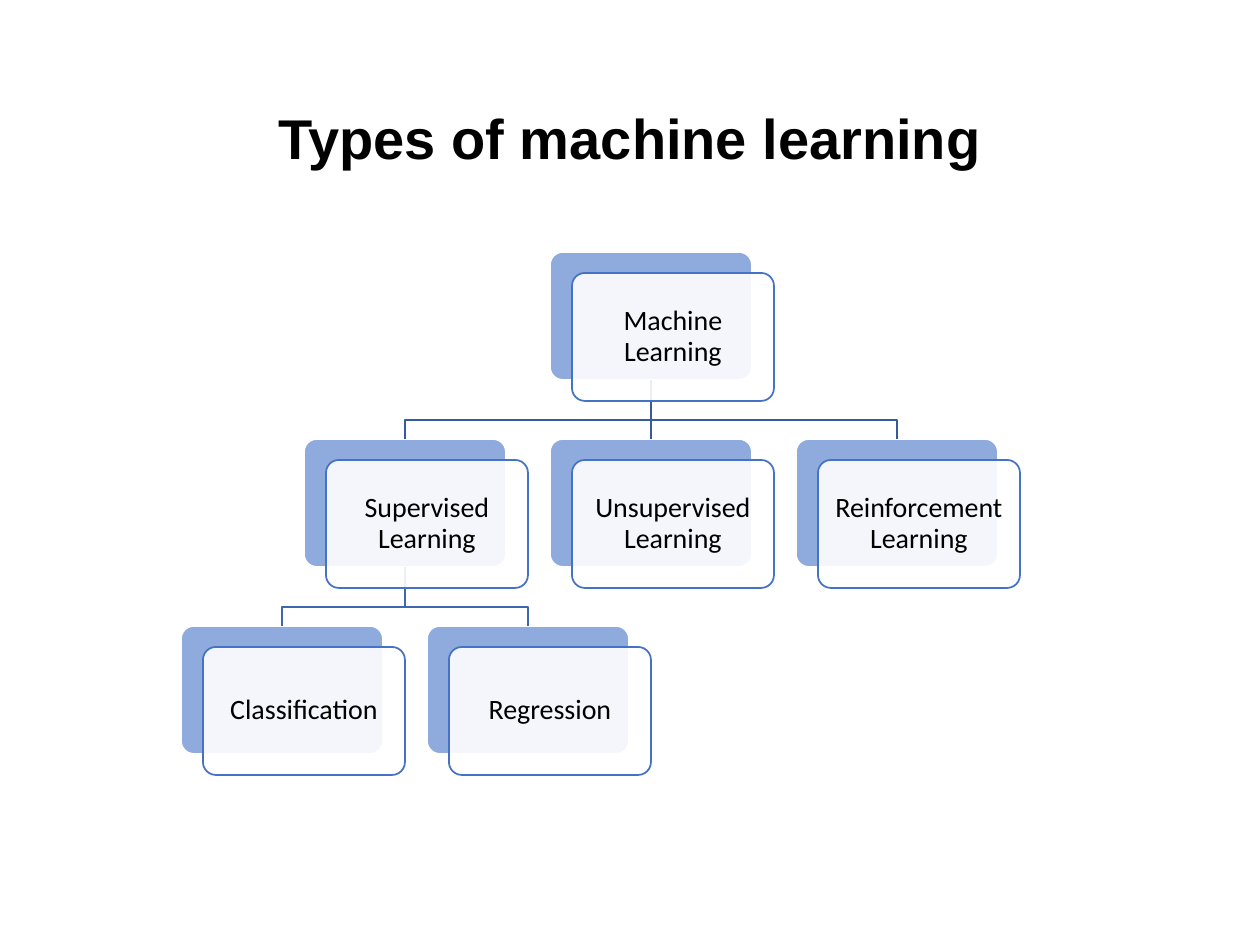
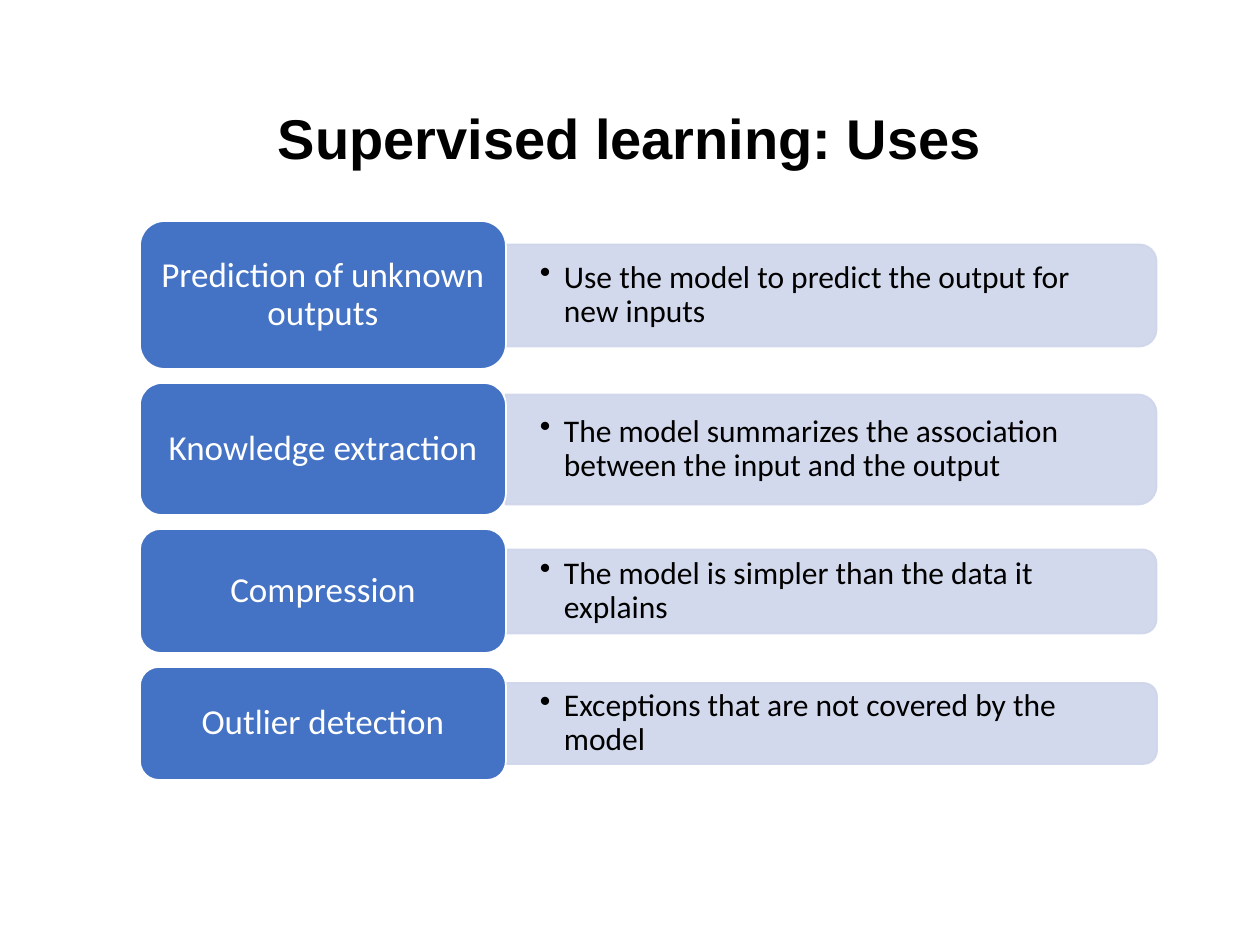
from dataclasses import dataclass

from lxml import etree
from pptx import Presentation
from pptx.dml.color import RGBColor
from pptx.enum.shapes import MSO_CONNECTOR, MSO_SHAPE
from pptx.enum.text import MSO_ANCHOR, PP_ALIGN
from pptx.oxml.ns import qn
from pptx.shapes.autoshape import Shape
from pptx.slide import Slide
from pptx.text.text import TextFrame
from pptx.util import Emu, Pt

ROUND = MSO_SHAPE.ROUNDED_RECTANGLE
TAB = MSO_SHAPE.ROUND_2_SAME_RECTANGLE
STRAIGHT = MSO_CONNECTOR.STRAIGHT
MIDDLE = MSO_ANCHOR.MIDDLE
LEFT, CENTER = PP_ALIGN.LEFT, PP_ALIGN.CENTER
TOP, BOTTOM = 0, 2
SCALE = 914400 / 126  # EMU per px


@dataclass(frozen=True)
class Type:
    font: str
    size: int
    color: str
    bold: bool = False


@dataclass(frozen=True)
class Look:
    fill: str
    line: str
    fade: str = ""  # XPath of the colours drawn at 90% opacity


@dataclass(frozen=True)
class Theme:
    title: Type = Type("Arial", 32, "000000", True)
    node: Type = Type("Calibri", 16, "000000")
    label: Type = Type("Calibri", 20, "FFFFFF")
    point: Type = Type("Calibri", 18, "000000")
    back: Look = Look("8FAADC", "FFFFFF")
    card: Look = Look("FFFFFF", "4472C4", "a:solidFill/a:srgbClr")
    block: Look = Look("4472C4", "FFFFFF")
    bar: Look = Look("CFD5EA", "CFD5EA", ".//a:srgbClr")
    links: tuple[str, ...] = ("365B9D", "3E67B2")
    width: int = 1


@dataclass(frozen=True)
class Box:
    x: int
    y: int
    w: int
    h: int

    def emu(self) -> tuple[Emu, ...]:
        return tuple(px(n) for n in (self.x, self.y, self.w, self.h))

    @property
    def mid(self) -> int:
        return self.x + self.w // 2


@dataclass(frozen=True)
class Node:
    text: str
    col: int
    row: int
    root: str = ""

    @property
    def box(self) -> Box:
        return Box(181 + 123 * self.col, 252 + 187 * self.row, 202, 128)


@dataclass(frozen=True)
class Use:
    label: str
    point: str
    high: int
    bar: int


THEME = Theme()
TITLE = Box(87, 50, 1086, 183)
SHIFT = 22, 21
TRUNK = 40
NODES = [
    Node("Machine Learning", 3, 0),
    Node("Supervised Learning", 1, 1, "Machine Learning"),
    Node("Classification", 0, 2, "Supervised Learning"),
    Node("Regression", 2, 2, "Supervised Learning"),
    Node("Unsupervised Learning", 3, 1, "Machine Learning"),
    Node("Reinforcement Learning", 5, 1, "Machine Learning"),
]
USES = [
    Use("Prediction of unknown outputs",
        "Use the model to predict the output for new inputs", 148, 102),
    Use("Knowledge extraction",
        "The model summarizes the association between the input and the output",
        132, 110),
    Use("Compression", "The model is simpler than the data it explains", 124, 84),
    Use("Outlier detection", "Exceptions that are not covered by the model", 113, 81),
]


def px(n: float) -> Emu:
    return Emu(round(n * SCALE))


def rgb(code: str) -> RGBColor:
    return RGBColor.from_string(code)


def write(frame: TextFrame, text: str, kind: Type, pad: tuple[int, int],
          align: PP_ALIGN = CENTER, bullet: bool = False) -> None:
    """Fill a frame with one paragraph; pad is the side and top inset."""
    frame.word_wrap = True
    frame.vertical_anchor = MIDDLE
    frame.margin_left = frame.margin_right = px(pad[0])
    frame.margin_top = frame.margin_bottom = px(pad[1])
    para = frame.paragraphs[0]
    para.text = text
    para.alignment = align
    para.line_spacing = 0.9
    if bullet:
        props = para._p.get_or_add_pPr()
        props.set("marL", str(px(24)))
        props.set("indent", str(px(-24)))
        etree.SubElement(props, qn("a:buChar")).set("char", "•")
    font = para.font
    font.name, font.size, font.bold = kind.font, Pt(kind.size), kind.bold
    font.color.rgb = rgb(kind.color)


def draw(slide: Slide, form: MSO_SHAPE, box: Box, look: Look) -> Shape:
    shape = slide.shapes.add_shape(form, *box.emu())
    shape.shadow.inherit = False
    shape.fill.solid()
    shape.fill.fore_color.rgb = rgb(look.fill)
    shape.line.color.rgb = rgb(look.line)
    shape.line.width = Pt(THEME.width)
    if look.fade:
        for color in shape.element.spPr.xpath(look.fade):
            etree.SubElement(color, qn("a:alpha")).set("val", "90000")
    return shape


def start(deck: Presentation, text: str) -> Slide:
    slide = deck.slides.add_slide(deck.slide_layouts[5])
    title = slide.shapes.title
    title.left, title.top, title.width, title.height = TITLE.emu()
    write(title.text_frame, text, THEME.title, (12, 6))
    return slide


def link(slide: Slide, root: Node, node: Node, backs: dict[str, Shape]) -> None:
    """Join a node to its root, straight down or round a corner."""
    above, below = root.box, node.box
    foot = above.y + above.h
    if above.mid == below.mid:
        line = slide.shapes.add_connector(STRAIGHT, 0, 0, 0, 0)
        line.begin_connect(backs[root.text], BOTTOM)
        line.end_connect(backs[node.text], TOP)
    else:
        turn = foot + TRUNK
        path = slide.shapes.build_freeform(px(above.mid), px(foot))
        ends = (above.mid, turn), (below.mid, turn), (below.mid, below.y)
        path.add_line_segments([(px(x), px(y)) for x, y in ends], close=False)
        line = path.convert_to_shape()
        line.fill.background()
    line.line.color.rgb = rgb(THEME.links[root.row])
    line.line.width = Pt(THEME.width)
    etree.SubElement(line.element.spPr, qn("a:effectLst"))


def tree(deck: Presentation) -> None:
    slide = start(deck, "Types of machine learning")
    names = {node.text: node for node in NODES}
    backs = {}
    for node in NODES:
        backs[node.text] = draw(slide, ROUND, node.box, THEME.back)
        backs[node.text].adjustments[0] = 0.1
    for node in NODES:
        if node.root:
            link(slide, names[node.root], node, backs)
    for node in NODES:
        box = node.box
        front = Box(box.x + SHIFT[0], box.y + SHIFT[1], box.w, box.h)
        card = draw(slide, ROUND, front, THEME.card)
        card.adjustments[0] = 0.1
        write(card.text_frame, node.text, THEME.node, (9, 9))


def uses(deck: Presentation) -> None:
    slide = start(deck, "Supervised learning: Uses")
    left, top, wide, long, gap = 140, 221, 366, 651, 14
    edge = left + wide
    for use in USES:
        mid = top + use.high // 2
        # The bar lies on its side, so its box is centred before the turn.
        box = Box(edge + (long - use.bar) // 2, mid - long // 2, use.bar, long)
        draw(slide, TAB, box, THEME.bar).rotation = 90
        area = Box(edge, mid - use.bar // 2, long - 5, use.bar)
        text = slide.shapes.add_textbox(*area.emu())
        write(text.text_frame, use.point, THEME.point, (34, 18), LEFT, True)
        block = draw(slide, ROUND, Box(left, top, wide, use.high), THEME.block)
        write(block.text_frame, use.label, THEME.label, (10, 5))
        top += use.high + gap


def main() -> None:
    deck = Presentation()
    deck.slide_width, deck.slide_height = px(1260), px(945)
    tree(deck)
    uses(deck)
    deck.save("out.pptx")


if __name__ == "__main__":
    main()
